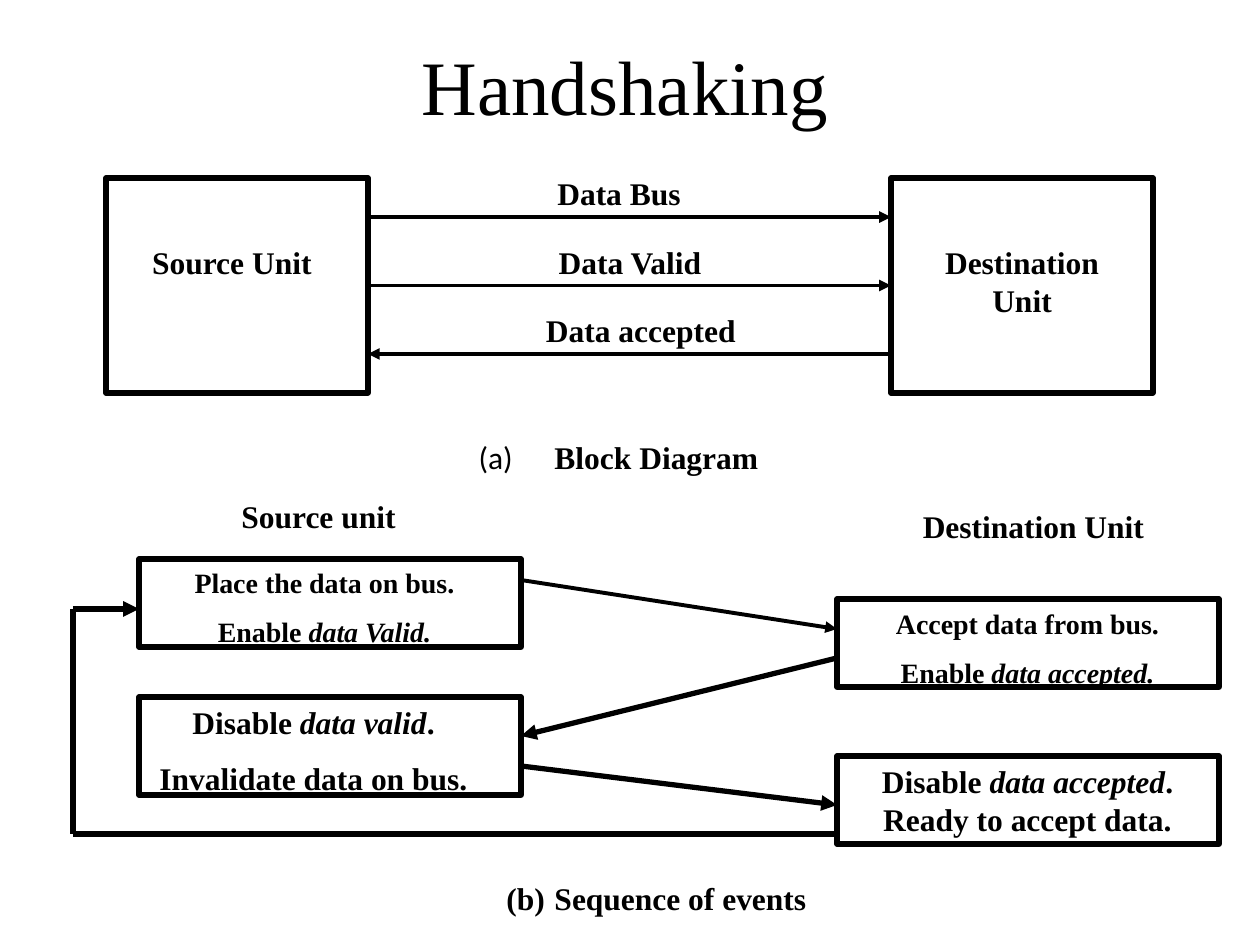
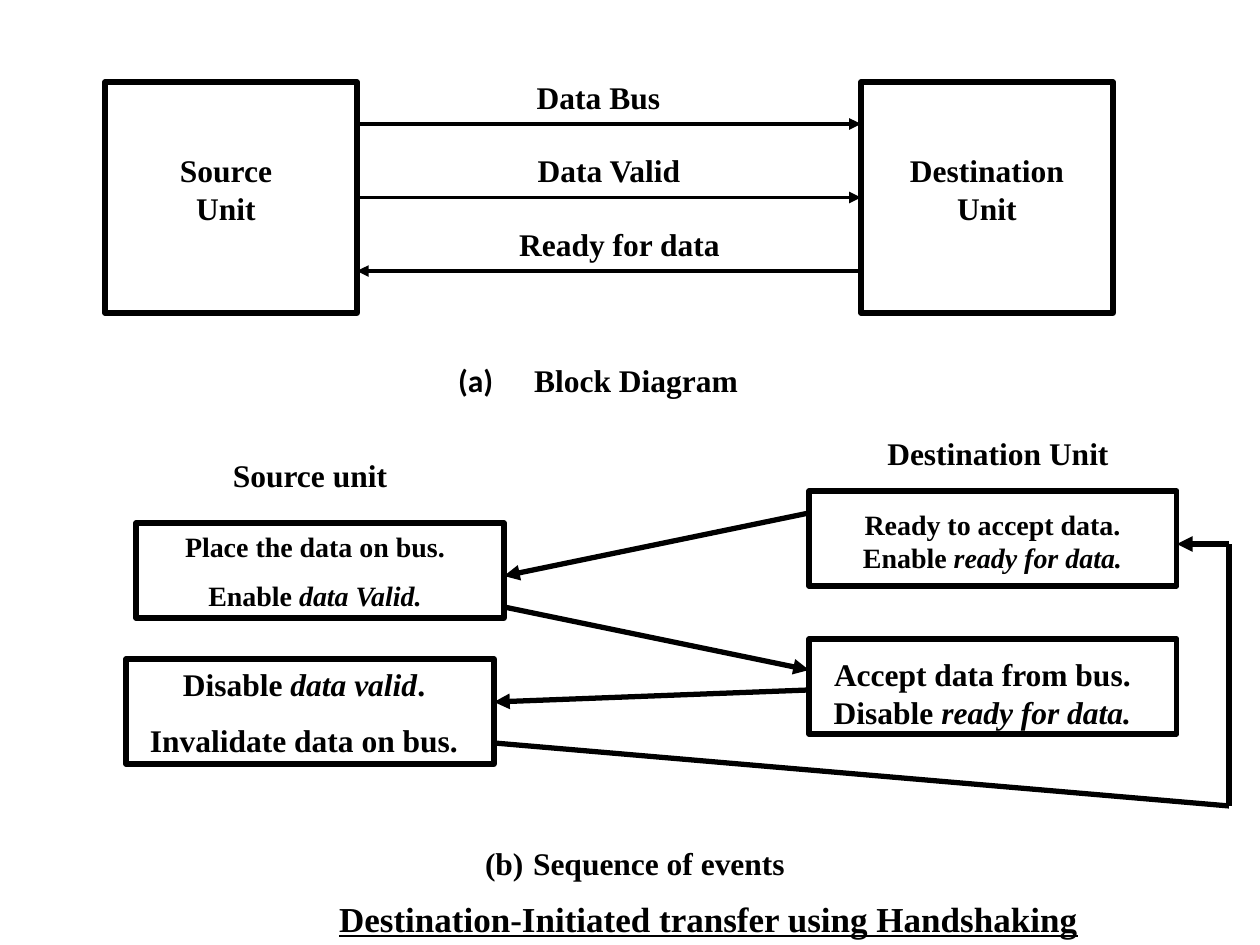
from dataclasses import dataclass

from lxml import etree
from pptx import Presentation
from pptx import util as u
from pptx.dml.color import RGBColor
from pptx.enum import shapes, text
from pptx.oxml.ns import qn


@dataclass(frozen=True)
class Theme:
    ink: RGBColor = RGBColor(0, 0, 0)
    face: str = "Times New Roman"
    mark_face: str = "Calibri"
    title: int = 44
    footing: int = 20
    body: int = 18
    small: int = 16
    heavy: float = 3
    light: float = 2.25


THEME = Theme()
PX_PER_INCH = 126
WIDTH, HEIGHT = 1260, 945
CAPTION_TAB = 76
CAPTION_INDENT = 48

UNITS = ("Source Unit", "Destination Unit")
HEADINGS = ("Source unit", "Destination Unit")
CAPTIONS = ("Block Diagram", "Sequence of events")
PLACE = ("Place the data on bus.", "Enable |data Valid.|")
INVALIDATE = ("Disable |data valid|.", "Invalidate data on bus.")

SLIDES = [
    {
        "title": ("Handshaking", (168, 32, 914, 105)),
        "units": [(106, 178, 262, 215), (891, 178, 262, 215)],
        "signals": ("Data Bus", "Data Valid", "Data accepted"),
        "mark_bold": False,
        "captions": [(335, 432, 567, 50), (455, 873, 403, 50)],
        "headings": [(193, 491, 251, 50), (881, 501, 305, 50)],
        "steps": [
            ((139, 559, 382, 88), (150, 559, 349, 97), THEME.small, PLACE),
            ((837, 599, 382, 88), (848, 600, 359, 97), THEME.small,
             ("Accept data from bus.", "Enable |data accepted.|")),
            ((139, 697, 382, 98), (139, 697, 349, 107), THEME.body, INVALIDATE),
            ((837, 756, 382, 88), (848, 756, 359, 88), THEME.body,
             ("Disable |data accepted|. Ready to accept data.",)),
        ],
        "flows": [
            (THEME.light, [(521, 580), (837, 629)]),
            (THEME.heavy, [(837, 658), (521, 736)]),
            (THEME.heavy, [(521, 766), (837, 805)]),
            (THEME.heavy, [(837, 834), (73, 834), (73, 609), (139, 609)]),
        ],
    },
    {
        "units": [(105, 82, 252, 231), (861, 82, 252, 231)],
        "signals": ("Data Bus", "Data Valid", "Ready for data"),
        "mark_bold": True,
        "captions": [(325, 355, 546, 50), (441, 838, 388, 50)],
        "headings": [(189, 450, 242, 50), (851, 428, 294, 50)],
        "steps": [
            ((136, 523, 368, 95), (147, 523, 336, 97), THEME.small, PLACE),
            ((809, 491, 368, 95), (819, 501, 347, 81), THEME.small,
             ("Ready to accept data. Enable |ready for data.|",)),
            ((126, 659, 368, 105), (136, 659, 336, 107), THEME.body, INVALIDATE),
            ((809, 639, 368, 95), (809, 649, 347, 88), THEME.body,
             ("Accept data from bus. Disable |ready for data.|",)),
        ],
        "flows": [
            (THEME.heavy, [(809, 513), (504, 576)]),
            (THEME.heavy, [(504, 607), (809, 670)]),
            (THEME.heavy, [(809, 690), (494, 702)]),
            (THEME.heavy, [(494, 743), (1229, 806), (1229, 544), (1177, 544)]),
        ],
        "footing": ("Destination-Initiated transfer using Handshaking", (294, 891, 829, 54)),
    },
]


def px(length):
    return u.Emu(round(length * u.Inches(1) / PX_PER_INCH))


def add_run(paragraph, words, size=THEME.body, bold=True, italic=False,
            underline=False, face=THEME.face):
    run = paragraph.add_run()
    run.text = words
    font = run.font
    font.name, font.size, font.bold = face, u.Pt(size), bold
    font.italic, font.underline = italic, underline
    font.color.rgb = THEME.ink


def add_frame(slide, place):
    frame = slide.shapes.add_textbox(*map(px, place)).text_frame
    frame.word_wrap = True
    frame.paragraphs[0].alignment = text.PP_ALIGN.CENTER
    return frame


def add_words(slide, place, paragraphs, size=THEME.body, **style):
    frame = add_frame(slide, place)
    for index, words in enumerate(paragraphs):
        paragraph = frame.paragraphs[0]
        if index:
            paragraph = frame.add_paragraph()
            paragraph.alignment = text.PP_ALIGN.CENTER
            paragraph.space_before = u.Pt(round(size * 0.55))
        for part, piece in enumerate(words.split("|")):
            if piece:
                add_run(paragraph, piece, size, italic=part % 2 == 1, **style)
    return frame


def add_box(slide, place):
    box = slide.shapes.add_shape(shapes.MSO_SHAPE.RECTANGLE, *map(px, place))
    box.shadow.inherit = False
    box.fill.background()
    box.line.color.rgb = THEME.ink
    box.line.width = u.Pt(THEME.heavy)
    return box


def add_line(slide, start, end, weight, arrow):
    line = slide.shapes.add_connector(
        shapes.MSO_CONNECTOR.STRAIGHT, *map(px, (*start, *end)))
    line.line.color.rgb = THEME.ink
    line.line.width = u.Pt(weight)
    properties = line.line._get_or_add_ln()
    if arrow:
        etree.SubElement(properties, qn("a:tailEnd"), type="triangle")
    etree.SubElement(properties.getparent(), qn("a:effectLst"))
    return line


def add_block_diagram(slide, content):
    left, top, width, height = content["units"][0]
    source, destination = [add_box(slide, place) for place in content["units"]]
    source_edge, destination_edge = left + width, content["units"][1][0]
    for index, signal in enumerate(content["signals"]):
        y = top + height * (2 + 3.5 * index) / 11
        ends = [(source_edge, y), (destination_edge, y)]
        if index == 2:
            ends.reverse()
        line = add_line(slide, *ends, THEME.light, True)
        if index == 1:
            line.begin_connect(source, 3)
            line.end_connect(destination, 1)
        label_left = source_edge + width * (11 + index) / 24
        add_words(slide, (label_left, y - height * 2.5 / 11, width, 50), [signal])
    for (unit_left, *_), unit, inset, share in zip(
            content["units"], UNITS, (0.12, 0.125), (0.72, 0.75)):
        add_words(slide, (unit_left + width * inset, top + height * 3 / 11,
                          width * share, 88), [unit])


def add_captions(slide, content):
    block_place, sequence_place = content["captions"]
    block = add_frame(slide, block_place).paragraphs[0]
    tabs = etree.SubElement(block._p.get_or_add_pPr(), qn("a:tabLst"))
    etree.SubElement(tabs, qn("a:tab"), pos=str(px(CAPTION_TAB)), algn="l")
    add_run(block, "(a)\t", bold=content["mark_bold"], face=THEME.mark_face)
    add_run(block, CAPTIONS[0])

    sequence = add_frame(slide, sequence_place).paragraphs[0]
    properties = sequence._p.get_or_add_pPr()
    properties.set("marL", str(px(CAPTION_INDENT)))
    properties.set("indent", str(-px(CAPTION_INDENT)))
    etree.SubElement(properties, qn("a:buFont"), typeface=THEME.face)
    etree.SubElement(properties, qn("a:buAutoNum"), type="alphaLcParenBoth", startAt="2")
    add_run(sequence, CAPTIONS[1])


def add_sequence(slide, content):
    for place, heading in zip(content["headings"], HEADINGS):
        add_words(slide, place, [heading])
    for box, place, size, paragraphs in content["steps"]:
        add_box(slide, box)
        add_words(slide, place, paragraphs, size)
    for weight, points in content["flows"]:
        for start, end in zip(points, points[1:]):
            add_line(slide, start, end, weight, end == points[-1])


def main():
    deck = Presentation()
    deck.slide_width, deck.slide_height = px(WIDTH), px(HEIGHT)
    for content in SLIDES:
        slide = deck.slides.add_slide(deck.slide_layouts[6])
        if "title" in content:
            words, place = content["title"]
            title = add_words(slide, place, [words], THEME.title, bold=False)
            title.vertical_anchor = text.MSO_ANCHOR.MIDDLE
        add_block_diagram(slide, content)
        add_captions(slide, content)
        add_sequence(slide, content)
        if "footing" in content:
            words, place = content["footing"]
            add_words(slide, place, [words], THEME.footing, underline=True)
    deck.save("out.pptx")


if __name__ == "__main__":
    main()
